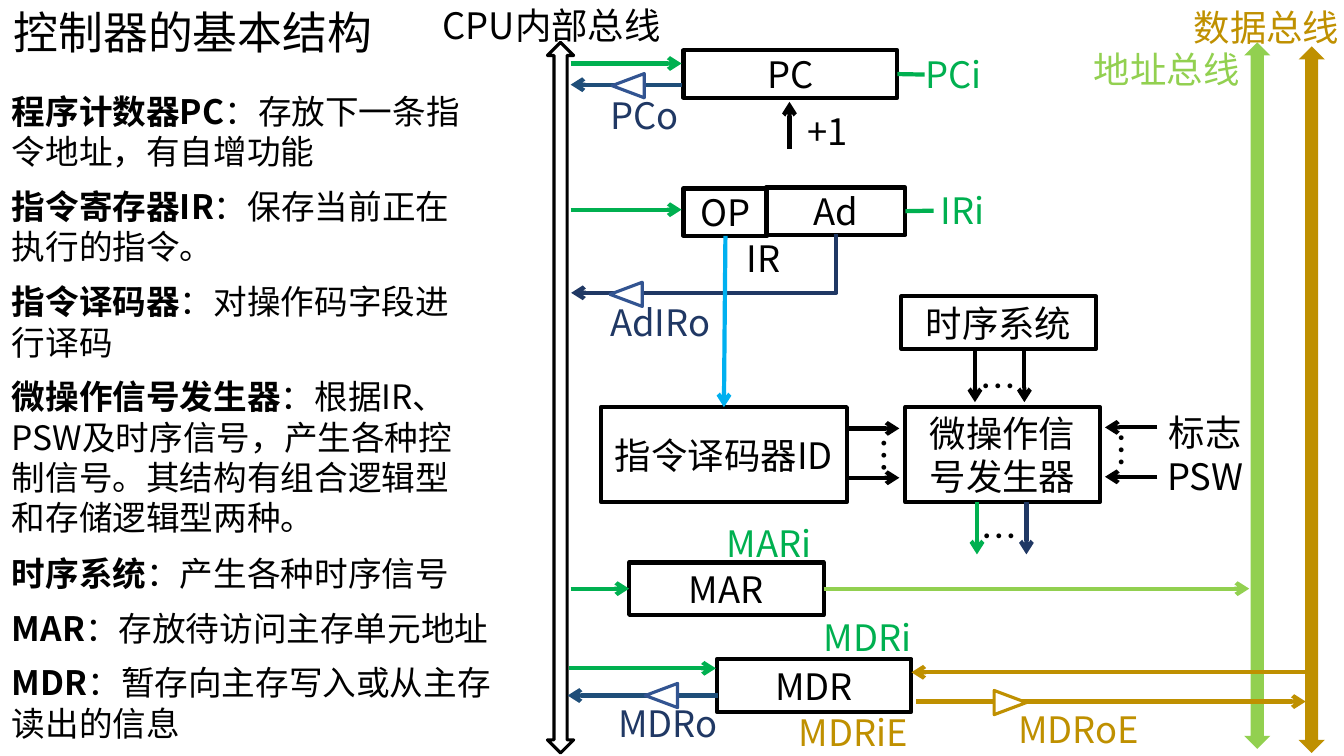
from dataclasses import dataclass

from lxml.etree import SubElement
from pptx import Presentation
from pptx.dml.color import RGBColor
from pptx.enum.lang import MSO_LANGUAGE_ID as Language
from pptx.enum.shapes import MSO_CONNECTOR as Connector, MSO_SHAPE as Preset
from pptx.enum.text import MSO_ANCHOR as Anchor, MSO_AUTO_SIZE as AutoSize, PP_ALIGN as Align
from pptx.oxml.ns import qn
from pptx.util import Inches, Pt

BLACK = RGBColor(0x00, 0x00, 0x00)
WHITE = RGBColor(0xFF, 0xFF, 0xFF)
GREEN = RGBColor(0x00, 0xB0, 0x50)
NAVY = RGBColor(0x20, 0x38, 0x64)
STEEL = RGBColor(0x1F, 0x4E, 0x79)
GATE_BLUE = RGBColor(0x32, 0x54, 0x91)
SKY = RGBColor(0x00, 0xB0, 0xF0)
LIME = RGBColor(0x92, 0xD0, 0x50)
GOLD = RGBColor(0xBF, 0x90, 0x00)

FONT = "Noto Sans CJK SC"
LABEL_SIZE = 26
NOTE_SIZE = 24
NOTE_LINE = 0.81 / 2
NOTE_GAP = 0.04
TOP, LEFT, BOTTOM, RIGHT = range(4)


@dataclass
class Block:
    text: str
    left: float
    top: float
    width: float
    height: float


@dataclass
class Bus:
    left: float
    top: float
    height: float
    fill: RGBColor | None


@dataclass
class Wire:
    start: tuple[float, float]
    end: tuple[float, float]
    color: RGBColor
    arrow: bool = True
    source: tuple[str, int] | None = None
    target: tuple[str, int] | None = None


@dataclass
class Gate:
    left: float
    top: float
    rotation: int = 270
    color: RGBColor = GATE_BLUE


@dataclass
class Label:
    text: str
    left: float
    top: float
    width: float
    color: RGBColor = BLACK
    align: Align | None = Align.CENTER
    height: float = 0.54
    size: int = LABEL_SIZE


@dataclass
class Dots:
    left: float
    top: float
    rotation: int = 0


@dataclass
class Note:
    term: str
    meaning: str
    lines: int
    width: float


BUSES = [Bus(5.43, 0.42, 7.05, None), Bus(12.34, 0.42, 7.01, LIME), Bus(12.88, 0.46, 7.01, GOLD)]
BLOCKS = [
    Block("PC", 6.78, 0.5, 2.12, 0.47),
    Block("OP", 6.78, 1.87, 0.83, 0.47),
    Block("Ad", 7.6, 1.86, 1.38, 0.47),
    Block("指令译码器ID", 5.96, 4.04, 2.44, 0.94),
    Block("微操作信号发生器", 8.98, 4.04, 1.93, 0.94),
    Block("时序系统", 8.94, 2.94, 1.93, 0.52),
    Block("MAR", 6.24, 5.58, 1.93, 0.52),
    Block("MDR", 7.11, 6.54, 1.93, 0.52),
]
WIRES = [
    # PC and IR
    Wire((5.66, 0.63), (6.76, 0.63), GREEN),
    Wire((6.76, 0.84), (5.66, 0.84), STEEL),
    Wire((8.9, 0.74), (9.17, 0.74), GREEN, False, source=("PC", RIGHT)),
    Wire((7.83, 1.48), (7.83, 1.01), BLACK),
    Wire((5.66, 2.08), (6.76, 2.08), GREEN),
    Wire((8.98, 2.09), (9.26, 2.09), GREEN, False, source=("Ad", RIGHT)),
    Wire((7.19, 2.33), (7.2, 4.04), SKY, source=("OP", BOTTOM), target=("指令译码器ID", TOP)),
    # Signal generator inputs and outputs
    *[Wire((8.41, y), (8.92, y), BLACK) for y in (4.25, 4.74)],
    *[Wire((x, 3.48), (x, 3.99), BLACK) for x in (9.67, 10.16)],
    *[Wire((11.48, y), (10.96, y), BLACK) for y in (4.24, 4.73)],
    *[Wire((x, 4.98), (x, 5.5), color) for x, color in ((9.69, GREEN), (10.18, NAVY))],
    # MAR and MDR
    Wire((5.66, 5.84), (6.21, 5.84), GREEN, target=("MAR", LEFT)),
    Wire((8.18, 5.84), (12.39, 5.84), LIME, source=("MAR", RIGHT)),
    Wire((5.64, 6.63), (7.1, 6.63), GREEN),
    Wire((12.98, 6.67), (9.04, 6.67), GOLD),
    Wire((7.12, 6.9), (5.63, 6.9), STEEL),
    Wire((9.09, 6.96), (12.95, 6.96), GOLD),
]
GATES = [Gate(6.11, 0.69), Gate(6.09, 2.76), Gate(6.44, 6.74), Gate(9.9, 6.81, 90, GOLD)]
LABELS = [
    Label("控制器的基本结构", -0.06, 0, 3.95, height=0.64, size=32),
    Label("CPU内部总线", 4.29, -0.02, 2.44, align=None),
    Label("地址总线", 10.75, 0.42, 1.65, LIME, None),
    Label("数据总线", 11.74, 0, 1.65, GOLD, None),
    Label("PCi", 8.89, 0.47, 1.14, GREEN),
    Label("PCo", 5.82, 0.87, 1.14, NAVY),
    Label("+1", 7.81, 1.03, 0.79),
    Label("IRi", 8.98, 1.82, 1.14, GREEN),
    Label("AdIRo", 5.9, 2.93, 1.3, NAVY),
    Label("IR", 7.2, 2.29, 0.75),
    Label("标志\nPSW", 11.43, 4.02, 1.05, height=0.98),
    Label("MARi", 7.06, 5.12, 1.14, GREEN),
    Label("MDRi", 7.92, 6.05, 1.37, GREEN),
    Label("MDRo", 5.94, 6.91, 1.37, NAVY),
    Label("MDRoE", 9.91, 6.97, 1.58, GOLD),
    Label("MDRiE", 7.78, 7, 1.37, GOLD),
]
DOTS = [Dots(8.4, 4.24), Dots(9.59, 3.52, 90), Dots(10.85, 4.21, 180), Dots(9.6, 5, 90)]
NOTES = [
    Note("程序计数器PC", "：存放下一条指令地址，有自增功能", 2, 4.85),
    Note("指令寄存器IR", "：保存当前正在执行的指令。", 2, 4.85),
    Note("指令译码器", "：对操作码字段进行译码", 2, 4.85),
    Note("微操作信号发生器", "：根据IR、PSW及时序信号，产生各种控制信号。其结构有组合逻辑型和存储逻辑型两种。", 4, 4.85),
    Note("时序系统", "：产生各种时序信号", 1, 5),
    Note("MAR", "：存放待访问主存单元地址", 1, 5.16),
    Note("MDR", "：暂存向主存写入或从主存读出的信息", 2, 5),
]


def add_span(para, text: str, size: int, color: RGBColor = BLACK, bold: bool = False) -> None:
    span = para.add_run()
    span.text = text
    font = span.font
    font.name, font.size, font.bold = FONT, Pt(size), bold
    font.color.rgb = color
    font.language_id = Language.SIMPLIFIED_CHINESE
    SubElement(font._element, qn("a:ea"), typeface=FONT)


def add_preset(page, preset: Preset, left: float, top: float, width: float, height: float,
               fill: RGBColor | None, line: RGBColor | None, weight: float = 2.25):
    shape = page.shapes.add_shape(preset, Inches(left), Inches(top), Inches(width), Inches(height))
    shape.shadow.inherit = False
    for paint, color in ((shape.fill, fill), (shape.line.fill, line)):
        if color is None:
            paint.background()
        else:
            paint.solid()
            paint.fore_color.rgb = color
    if line is not None:
        shape.line.width = Pt(weight)
    return shape


def add_block(page, block: Block):
    shape = add_preset(page, Preset.RECTANGLE, block.left, block.top, block.width, block.height, None, BLACK, 3)
    shape.text_frame.vertical_anchor = Anchor.MIDDLE
    para = shape.text_frame.paragraphs[0]
    para.alignment = Align.CENTER
    add_span(para, block.text, LABEL_SIZE)
    return shape


def add_line(page, kind: Connector, start: tuple, end: tuple, color: RGBColor, arrow: bool):
    line = page.shapes.add_connector(kind, *map(Inches, start + end))
    line.line.color.rgb = color
    line.line.width = Pt(3)
    if arrow:
        SubElement(line.line._get_or_add_ln(), qn("a:tailEnd"), type="arrow")
    SubElement(line._element.spPr, qn("a:effectLst"))
    return line


def add_box(page, left: float, top: float, width: float, height: float):
    box = page.shapes.add_textbox(Inches(left), Inches(top), Inches(width), Inches(height))
    box.text_frame.word_wrap = True
    box.text_frame.auto_size = AutoSize.SHAPE_TO_FIT_TEXT
    return box


def add_label(page, label: Label):
    box = add_box(page, label.left, label.top, label.width, label.height)
    frame = box.text_frame
    for index, text in enumerate(label.text.split("\n")):
        para = frame.add_paragraph() if index else frame.paragraphs[0]
        para.alignment = label.align
        add_span(para, text, label.size, label.color)
    return box


def main() -> None:
    deck = Presentation()
    deck.slide_width, deck.slide_height = Inches(13.33), Inches(7.5)
    page = deck.slides.add_slide(deck.slide_layouts[6])

    # Buses and blocks
    for bus in BUSES:
        outline = BLACK if bus.fill is None else None
        add_preset(page, Preset.UP_DOWN_ARROW, bus.left, bus.top, 0.26, bus.height, bus.fill, outline)
    blocks = {block.text: add_block(page, block) for block in BLOCKS}

    # Elbow from the address field back to the CPU bus
    elbow = add_line(page, Connector.ELBOW, (6.69, 1.3), (7.27, 3.93), NAVY, True)
    elbow._element.spPr.find(qn("a:prstGeom")).set("prst", "bentConnector2")
    elbow._element.spPr.find(qn("a:xfrm")).set("rot", str(90 * 60000))

    # Straight wires and gates
    for wire in WIRES:
        line = add_line(page, Connector.STRAIGHT, wire.start, wire.end, wire.color, wire.arrow)
        if wire.source:
            line.begin_connect(blocks[wire.source[0]], wire.source[1])
        if wire.target:
            line.end_connect(blocks[wire.target[0]], wire.target[1])
    for gate in GATES:
        shape = add_preset(page, Preset.ISOSCELES_TRIANGLE, gate.left, gate.top, 0.24, 0.32, WHITE, gate.color)
        shape.rotation = gate.rotation

    # Labels and ellipses
    for label in LABELS:
        add_label(page, label)
    for dots in DOTS:
        box = add_label(page, Label("…", dots.left, dots.top, 0.64))
        box.text_frame._txBody.bodyPr.set("vert", "eaVert")
        box.rotation = dots.rotation

    # Explanations down the left side
    top = 0.85
    for note in NOTES:
        height = 0.5 + NOTE_LINE * (note.lines - 1)
        para = add_box(page, 0.02, top, note.width, height).text_frame.paragraphs[0]
        add_span(para, note.term, NOTE_SIZE, bold=True)
        add_span(para, note.meaning, NOTE_SIZE)
        top += height + NOTE_GAP

    deck.save("out.pptx")


if __name__ == "__main__":
    main()
